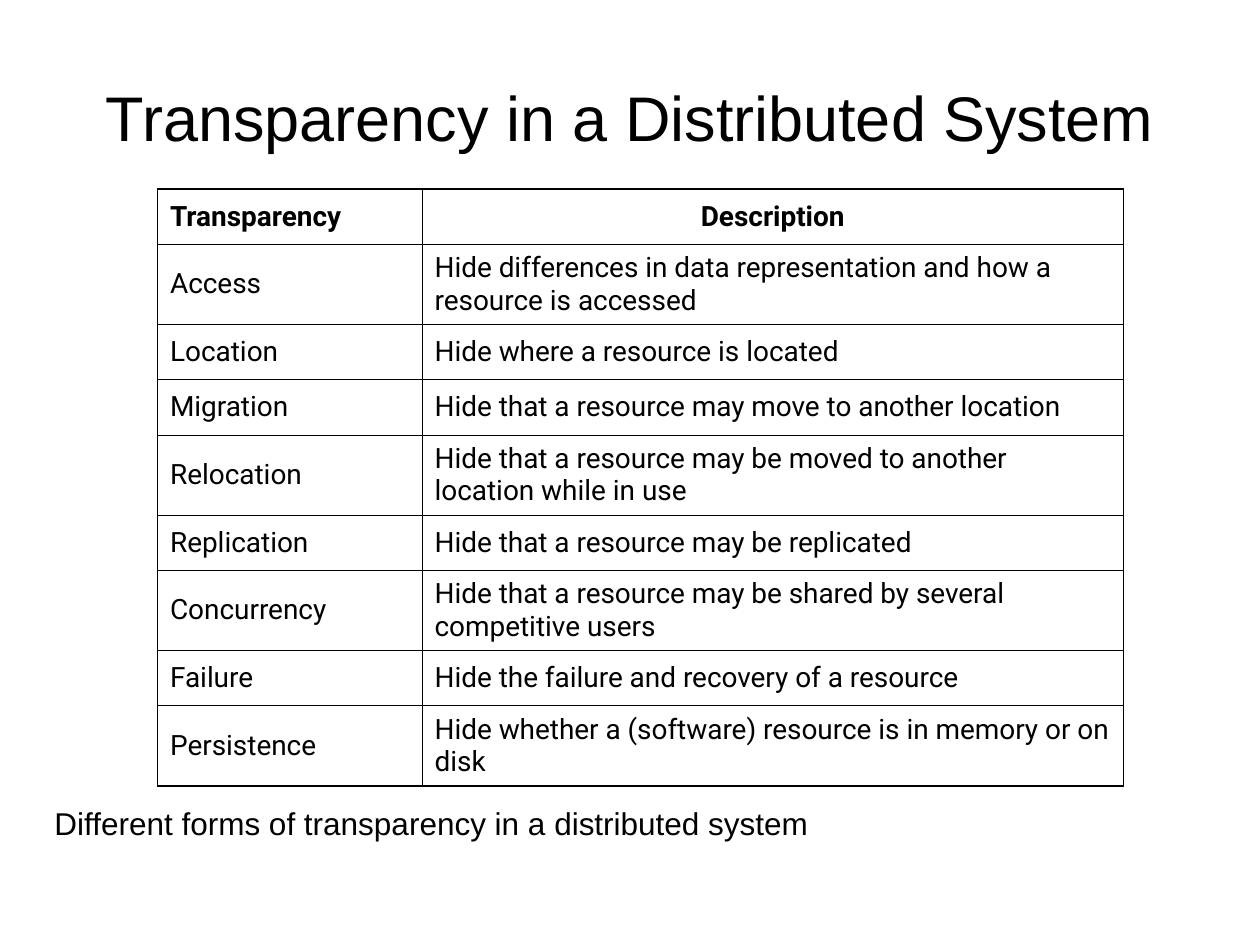
from lxml.etree import SubElement
from pptx import Presentation
from pptx.dml.color import RGBColor
from pptx.enum.text import MSO_ANCHOR, MSO_AUTO_SIZE, PP_ALIGN
from pptx.oxml.ns import qn
from pptx.util import Pt

ROWS = [
    ("Transparency", "Description"),
    ("Access", "Hide differences in data representation and how a resource is accessed"),
    ("Location", "Hide where a resource is located"),
    ("Migration", "Hide that a resource may move to another location"),
    ("Relocation", "Hide that a resource may be moved to another location while in use"),
    ("Replication", "Hide that a resource may be replicated"),
    ("Concurrency", "Hide that a resource may be shared by several competitive users"),
    ("Failure", "Hide the failure and recovery of a resource"),
    ("Persistence", "Hide whether a (software) resource is in memory or on disk"),
]
LOW, HIGH = 31.6, 45.8
TALL = {"Access", "Relocation", "Concurrency", "Persistence"}


def color(code):
    return RGBColor.from_string(code)


class Page:
    ink = "000000"
    sans = "Arial"
    grid = "Roboto"
    thin, thick = 0.45, 1.08

    def __init__(self, deck):
        self.slide = deck.slides.add_slide(deck.slide_layouts[5])

    def text(self, frame, words, size, font, align=PP_ALIGN.LEFT, bold=False):
        para = frame.paragraphs[0]
        para.alignment = align
        run = para.add_run()
        run.text = words
        run.font.size = Pt(size)
        run.font.name = font
        run.font.bold = bold
        run.font.color.rgb = color(self.ink)

    def title(self, words, left, top, width, height):
        shape = self.slide.shapes.title
        shape.left, shape.top = Pt(left), Pt(top)
        shape.width, shape.height = Pt(width), Pt(height)
        frame = shape.text_frame
        frame.vertical_anchor = MSO_ANCHOR.MIDDLE
        self.text(frame, words, 36, self.sans, PP_ALIGN.CENTER)

    def label(self, words, left, top, width, height):
        box = self.slide.shapes.add_textbox(Pt(left), Pt(top), Pt(width), Pt(height))
        frame = box.text_frame
        frame.word_wrap = True
        frame.auto_size = MSO_AUTO_SIZE.SHAPE_TO_FIT_TEXT
        self.text(frame, words, 18, self.sans)

    def border(self, cell, outer):
        props = cell._tc.get_or_add_tcPr()
        for side in "LRTB":
            width = self.thick if side in outer else self.thin
            line = SubElement(props, qn(f"a:ln{side}"), w=str(int(Pt(width))))
            fill = SubElement(line, qn("a:solidFill"))
            SubElement(fill, qn("a:srgbClr"), val=self.ink)

    def table(self, rows, left, top, widths, heights):
        table = self.slide.shapes.add_table(
            len(rows), len(widths), Pt(left), Pt(top),
            Pt(sum(widths)), Pt(sum(heights))).table
        table.horz_banding = False
        for col, width in zip(table.columns, widths):
            col.width = Pt(width)
        for row, height in zip(table.rows, heights):
            row.height = Pt(height)
        for y, line in enumerate(rows):
            for x, words in enumerate(line):
                cell = table.cell(y, x)
                cell.vertical_anchor = MSO_ANCHOR.MIDDLE
                edges = {"L": x == 0, "R": x == len(widths) - 1,
                         "T": y == 0, "B": y == len(rows) - 1}
                self.border(cell, [side for side, edge in edges.items() if edge])
                cell.fill.background()
                head = y == 0
                align = PP_ALIGN.CENTER if head and x else PP_ALIGN.LEFT
                self.text(cell.text_frame, words, 16, self.grid, align, head)


def main():
    deck = Presentation()
    deck.slide_width, deck.slide_height = Pt(720), Pt(540)
    page = Page(deck)
    page.title("Transparency in a Distributed System", 36, 21.6, 648, 90)
    page.label("Different forms of transparency in a distributed system",
               24, 456, 666, 29)
    heights = [HIGH if name in TALL else LOW for name, _ in ROWS]
    page.table(ROWS, 90, 108, [151.2, 400.8], heights)
    deck.save("out.pptx")


if __name__ == "__main__":
    main()
